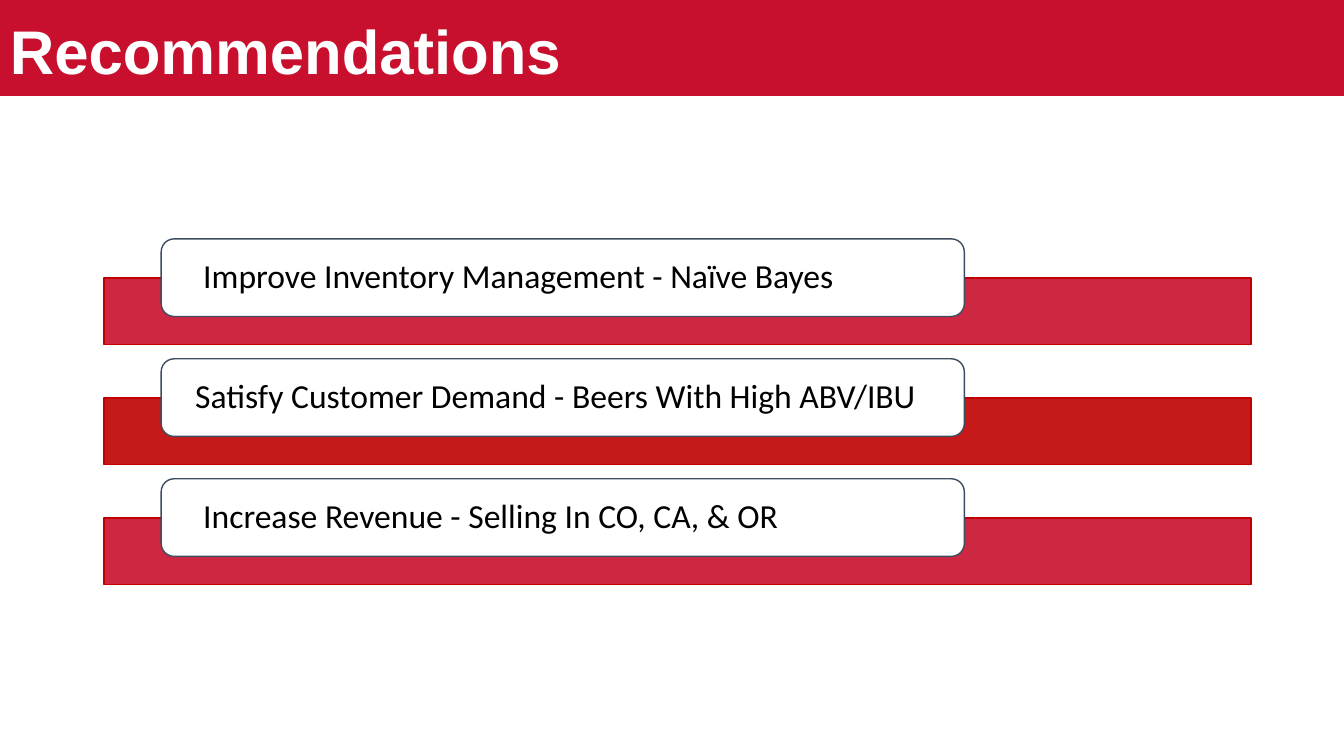
import pptx
import pptx.util
import pptx.dml.color
import pptx.enum.shapes
import pptx.enum.text
import pptx.oxml
from dataclasses import dataclass

SHAPE = pptx.enum.shapes.MSO_SHAPE
ALIGN = pptx.enum.text.PP_ALIGN
ANCHOR = pptx.enum.text.MSO_ANCHOR
SLIDE_W, SLIDE_H = 13.33, 7.5


@dataclass(frozen=True)
class Theme:
    crimson: str = "C8102E"
    dark_red: str = "C00000"
    slate: str = "3E4C60"
    white: str = "FFFFFF"
    black: str = "000000"
    heading_font: str = "Arial"
    body_font: str = "Calibri"
    heading_size: int = 44
    body_size: int = 24
    bar_opacity: int = 90


THEME = Theme()
# Label, bar colour, extra left indent in inches
RECOMMENDATIONS = [
    ("Improve Inventory Management - Naïve Bayes", THEME.crimson, 0.08),
    ("Satisfy Customer Demand - Beers With High ABV/IBU", THEME.dark_red, 0),
    ("Increase Revenue - Selling In CO, CA, & OR", THEME.crimson, 0.08),
]


def rgb(code):
    return pptx.dml.color.RGBColor.from_string(code)


def set_all(target, values):
    for key, value in values.items():
        setattr(target, key, value)


def add_block(slide, kind, box, fill, line, opacity=100):
    block = slide.shapes.add_shape(kind, *map(pptx.util.Inches, box))
    block.shadow.inherit = False
    block.fill.solid()
    block.fill.fore_color.rgb = rgb(fill)
    block.line.color.rgb = rgb(line)
    block.line.width = pptx.util.Pt(1)
    if opacity < 100:
        colour = block.fill._xPr.find(".//" + pptx.oxml.ns.qn("a:srgbClr"))
        alpha = pptx.oxml.parse_xml(
            f'<a:alpha {pptx.oxml.ns.nsdecls("a")} val="{opacity * 1000}"/>')
        colour.append(alpha)
    return block


def write(holder, text, insets, font):
    frame = holder.text_frame
    left, top, right, bottom = map(pptx.util.Inches, insets)
    set_all(frame, {"word_wrap": True, "vertical_anchor": ANCHOR.MIDDLE,
                    "margin_left": left, "margin_top": top,
                    "margin_right": right, "margin_bottom": bottom})
    paragraph = frame.paragraphs[0]
    set_all(paragraph, {"alignment": ALIGN.LEFT, "line_spacing": 0.9})
    run = paragraph.add_run()
    run.text = text
    set_all(run.font, {key: font[key] for key in ("name", "size", "bold")})
    run.font.color.rgb = rgb(font["color"])


def add_header(slide, box, title):
    left, top, width, height = box
    # Band across the top
    add_block(slide, SHAPE.RECTANGLE, box, THEME.crimson, THEME.crimson)
    # Title, set slightly below the middle of the band
    title_box = (left, top + 0.09, width * 0.86, height * 0.95)
    heading = slide.shapes.add_textbox(*map(pptx.util.Inches, title_box))
    write(heading, title, (0.1, 0.05, 0.1, 0.05),
          {"name": THEME.heading_font, "size": pptx.util.Pt(THEME.heading_size),
           "bold": True, "color": THEME.white})


def add_recommendations(slide, box, items):
    left, top, width, height = box
    card_h, bar_h, bar_drop = 0.77, 0.66, 0.39
    pitch = (height - bar_drop - bar_h) / (len(items) - 1)
    for row, (label, colour, indent) in enumerate(items):
        y = top + row * pitch
        # Translucent bar behind the card
        add_block(slide, SHAPE.RECTANGLE, (left, y + bar_drop, width, bar_h),
                  colour, THEME.dark_red, THEME.bar_opacity)
        # Card holding the recommendation
        card = add_block(slide, SHAPE.ROUNDED_RECTANGLE,
                         (left + width * 0.05, y, width * 0.7, card_h),
                         THEME.white, THEME.slate)
        write(card, label, (0.3 + indent, 0, 0.3, 0),
              {"name": THEME.body_font, "size": pptx.util.Pt(THEME.body_size),
               "bold": False, "color": THEME.black})


def main():
    deck = pptx.Presentation()
    deck.slide_width = pptx.util.Inches(SLIDE_W)
    deck.slide_height = pptx.util.Inches(SLIDE_H)
    slide = deck.slides.add_slide(deck.slide_layouts[6])
    add_header(slide, (0, 0, SLIDE_W, 0.95), "Recommendations")
    add_recommendations(slide, (1.03, 2.37, 11.38, 3.43), RECOMMENDATIONS)
    deck.save("out.pptx")


if __name__ == "__main__":
    main()
